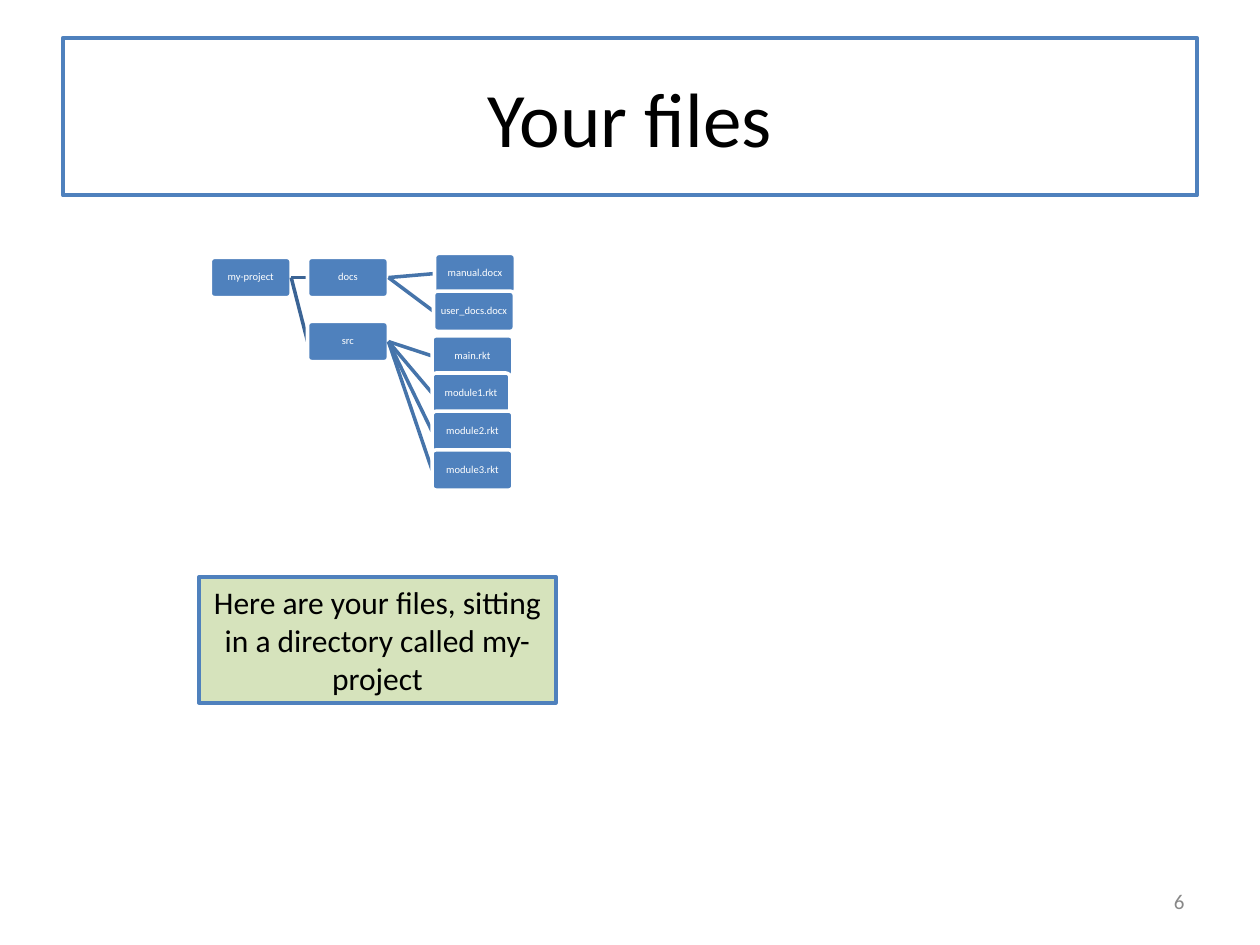
from lxml.etree import SubElement
from pptx import Presentation
from pptx.dml.color import RGBColor
from pptx.enum.shapes import MSO_CONNECTOR as Link, MSO_SHAPE as Shape
from pptx.enum.text import MSO_ANCHOR as Anchor, PP_ALIGN as Align
from pptx.oxml.ns import qn
from pptx.util import Cm, Pt

FONT = "Calibri"
COLORS = {
    "blue": "4F81BD", "trunk": "3B6495", "branch": "4674AA", "green": "D6E3BC",
    "white": "FFFFFF", "black": "000000", "gray": "888888",
}
LEFT, RIGHT = 1, 3
NODE_W, NODE_H = 1.63, 0.81

# name, parent, left, top, width (cm from the corner of the tree)
NODES = [
    ("my-project", None, 0, 0.08, NODE_W),
    ("docs", "my-project", 1.96, 0.08, NODE_W),
    ("manual.docx", "docs", 4.52, 0, NODE_W),
    ("user_docs.docx", "docs", 4.5, 0.76, NODE_W),
    ("src", "my-project", 1.96, 1.37, NODE_W),
    ("main.rkt", "src", 4.47, 1.66, NODE_W),
    ("module1.rkt", "src", 4.47, 2.41, 1.57),
    ("module2.rkt", "src", 4.47, 3.18, NODE_W),
    ("module3.rkt", "src", 4.47, 3.96, NODE_W),
]


def color(name):
    return RGBColor.from_string(COLORS[name])


def outline(shape, name, width):
    shape.line.color.rgb = color(name)
    shape.line.width = Pt(width)


def write(shape, text, size, ink, align=Align.CENTER):
    frame = shape.text_frame
    frame.word_wrap = True
    frame.vertical_anchor = Anchor.MIDDLE
    frame.text = text
    para = frame.paragraphs[0]
    para.alignment = align
    para.font.name = FONT
    para.font.size = Pt(size)
    para.font.color.rgb = color(ink)
    return frame


def add_box(slide, kind, box, fill, line):
    shape = slide.shapes.add_shape(kind, *map(Cm, box))
    shape.shadow.inherit = False
    shape.fill.solid()
    shape.fill.fore_color.rgb = color(fill)
    outline(shape, line, 2)
    return shape


def add_title(slide, box, text):
    title = slide.shapes.title
    title.left, title.top, title.width, title.height = map(Cm, box)
    outline(title, "blue", 2.25)
    write(title, text, 44, "black")


def add_node(slide, box, name):
    node = add_box(slide, Shape.ROUNDED_RECTANGLE, box, "blue", "white")
    node.adjustments[0] = 0.1
    frame = write(node, name, 6, "white")
    frame.margin_left = frame.margin_right = 0
    frame.margin_top = frame.margin_bottom = 0
    frame.paragraphs[0].line_spacing = 0.9
    return node


def add_link(slide, start, shade):
    link = slide.shapes.add_connector(Link.STRAIGHT, 0, 0, 0, 0)
    link.begin_connect(start, RIGHT)
    outline(link, shade, 2)
    SubElement(link._element.spPr, qn("a:effectLst"))
    return link


def add_tree(slide, x, y):
    """Draw each link before its child, so that the child's rim covers its end."""
    made = {}
    root = NODES[0][0]
    for name, parent, left, top, width in NODES:
        link = None
        if parent:
            shade = "trunk" if parent == root else "branch"
            link = add_link(slide, made[parent], shade)
        box = (x + left, y + top, width, NODE_H)
        made[name] = add_node(slide, box, name)
        if link:
            link.end_connect(made[name], LEFT)


def add_note(slide, box, text):
    note = add_box(slide, Shape.RECTANGLE, box, "green", "blue")
    write(note, text, 18, "black")


def add_number(slide, box, text):
    number = slide.shapes.add_textbox(*map(Cm, box))
    write(number, text, 12, "gray", Align.RIGHT)


def main():
    prs = Presentation()
    prs.slide_width, prs.slide_height = Cm(25.4), Cm(19.05)
    slide = prs.slides.add_slide(prs.slide_layouts[5])
    add_title(slide, (1.27, 0.76, 22.86, 3.18), "Your files")
    add_tree(slide, 4.24, 5.11)
    add_note(slide, (4.01, 11.63, 7.2, 2.54),
             "Here are your files, sitting in a directory called my-project")
    add_number(slide, (18.2, 17.66, 5.93, 1.01), "6")
    prs.save("out.pptx")


if __name__ == "__main__":
    main()
